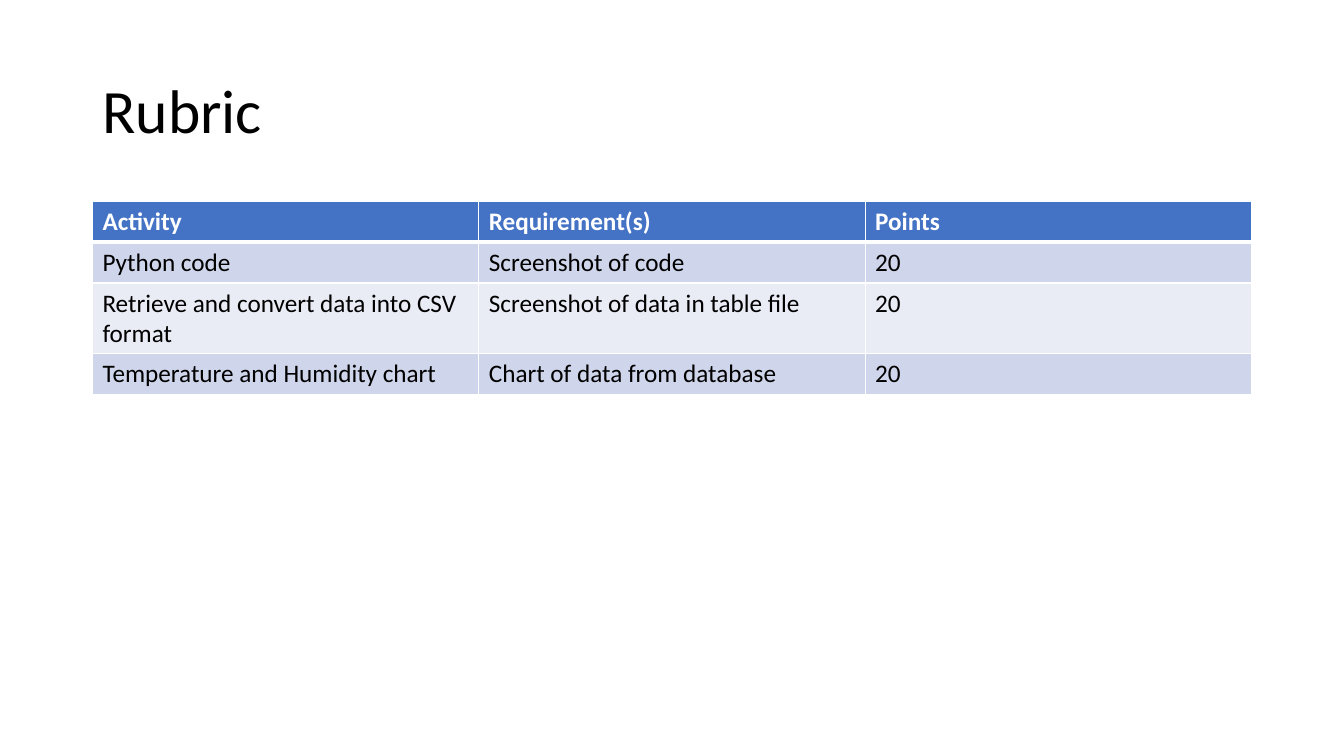
from lxml.etree import SubElement
from pptx import Presentation
from pptx.dml.color import RGBColor
from pptx.enum.text import MSO_ANCHOR as Anchor
from pptx.oxml.ns import qn
from pptx.util import Cm, Pt


def rgb(value):
    return RGBColor.from_string(value)


def add_border(cell, side, points):
    line = SubElement(cell._tc.get_or_add_tcPr(), qn(f"a:ln{side}"), w=str(Pt(points)))
    fill = SubElement(line, qn("a:solidFill"))
    SubElement(fill, qn("a:srgbClr"), val="FFFFFF")


deck = Presentation()
deck.slide_width, deck.slide_height = Cm(33.87), Cm(19.05)
page = deck.slides.add_slide(deck.slide_layouts[6])

title = page.shapes.add_textbox(Cm(2.33), Cm(1.01), Cm(29.21), Cm(3.68))
title.text_frame.word_wrap = True
title.text_frame.vertical_anchor = Anchor.MIDDLE
para = title.text_frame.paragraphs[0]
para.text = "Rubric"
para.line_spacing = 0.9
para.font.name = "Calibri"
para.font.size = Pt(44)
para.font.color.rgb = rgb("000000")

rubric = [
    ("Activity", "Requirement(s)", "Points"),
    ("Python code", "Screenshot of code", "20"),
    ("Retrieve and convert data into CSV format", "Screenshot of data in table file", "20"),
    ("Temperature and Humidity chart", "Chart of data from database", "20"),
]
row_heights = [1.03, 1.03, 1.78, 1.03]
row_fills = ["4472C4", "CFD5EA", "E9EBF5", "CFD5EA"]

table = page.shapes.add_table(
    len(rubric), 3, Cm(2.33), Cm(5.07), Cm(29.21), Cm(sum(row_heights))
).table
for column in table.columns:
    column.width = Cm(29.21 / 3)

for row_index, texts in enumerate(rubric):
    is_header = row_index == 0
    table.rows[row_index].height = Cm(row_heights[row_index])
    for column_index, text in enumerate(texts):
        cell = table.cell(row_index, column_index)
        for side in "LRTB":
            thick = (is_header and side == "B") or (row_index == 1 and side == "T")
            add_border(cell, side, 3 if thick else 1)
        cell.fill.solid()
        cell.fill.fore_color.rgb = rgb(row_fills[row_index])
        para = cell.text_frame.paragraphs[0]
        para.text = text
        para.font.name = "Calibri"
        para.font.size = Pt(18)
        para.font.bold = is_header
        para.font.color.rgb = rgb("FFFFFF" if is_header else "000000")

deck.save("out.pptx")
